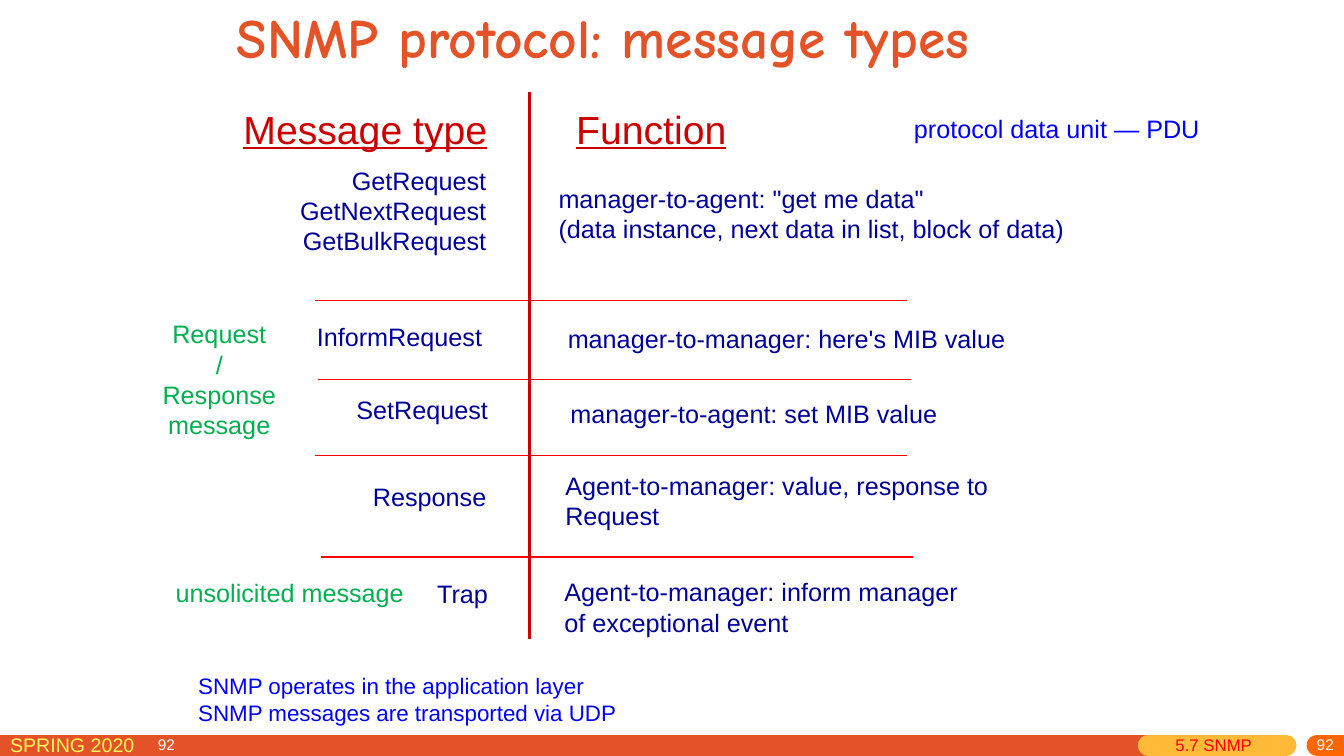
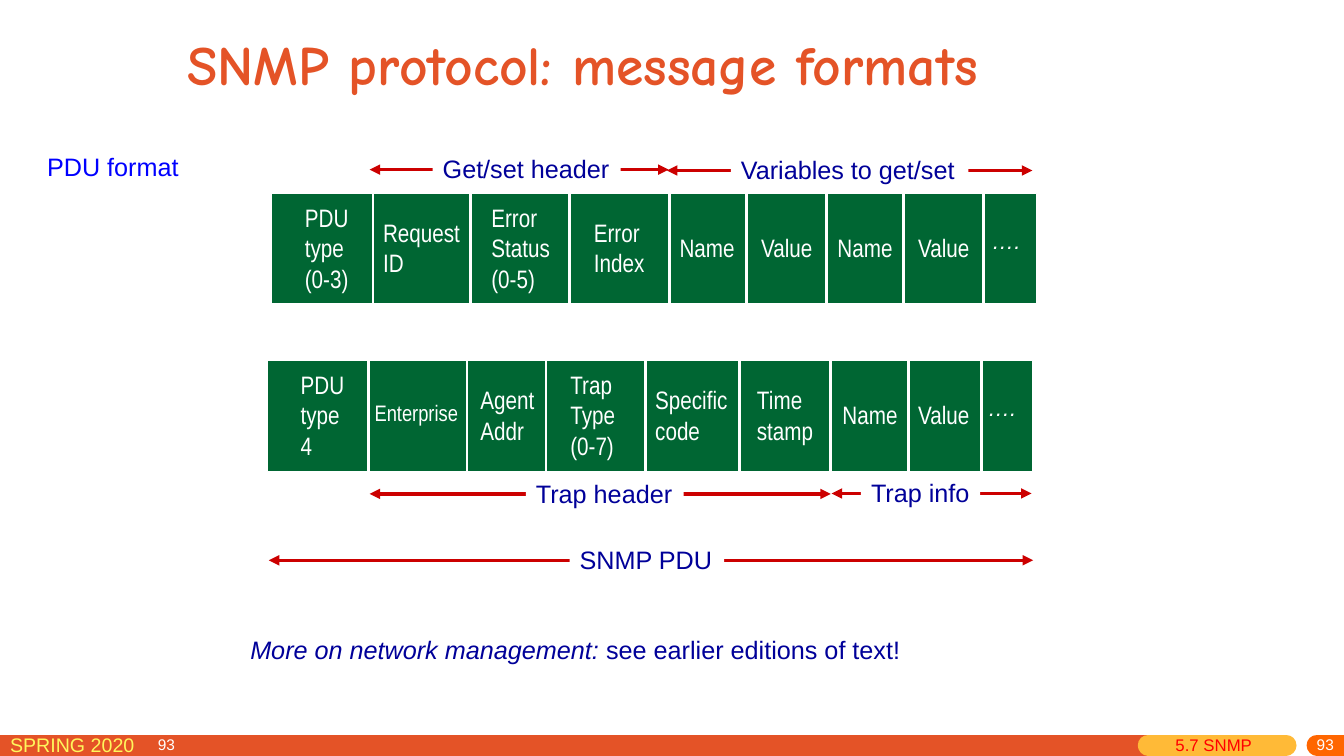
from itertools import accumulate

from lxml.etree import SubElement
from pptx import Presentation
from pptx.dml.color import RGBColor
from pptx.enum.shapes import MSO_CONNECTOR, MSO_SHAPE
from pptx.enum.text import MSO_ANCHOR, MSO_AUTO_SIZE, PP_ALIGN
from pptx.oxml.ns import qn
from pptx.util import Inches, Pt

COLUMNS, ROWS = 160, 90
POINTS_PER_ROW = 6
PACKET_HEIGHT = 13.2

WHITE = RGBColor(0xFF, 0xFF, 0xFF)
ORANGE = RGBColor(0xE4, 0x53, 0x27)
AMBER = RGBColor(0xFF, 0xBA, 0x37)
BRIGHT_ORANGE = RGBColor(0xFF, 0x66, 0x00)
YELLOW = RGBColor(0xFF, 0xF6, 0x5C)
RED = RGBColor(0xFF, 0x00, 0x00)
DARK_RED = RGBColor(0xCC, 0x00, 0x00)
NAVY = RGBColor(0x00, 0x00, 0x99)
BLUE = RGBColor(0x00, 0x00, 0xFF)
GREEN = RGBColor(0x00, 0xB0, 0x50)
DARK_GREEN = RGBColor(0x00, 0x66, 0x33)

BODY_FONT, FIELD_FONT, TITLE_FONT = "Arial", "Arial Narrow", "Comic Neue"


class Deck:
    def __init__(self):
        self.presentation = Presentation()
        self.presentation.slide_width = Inches(13.333)
        self.presentation.slide_height = Inches(7.5)
        self.slide = None

    def x(self, columns):
        return round(self.presentation.slide_width * columns / COLUMNS)

    def y(self, rows):
        return round(self.presentation.slide_height * rows / ROWS)

    def box(self, left, top, width, height):
        return self.x(left), self.y(top), self.x(width), self.y(height)

    def add_slide(self, title, number, left, top, width, height):
        layout = self.presentation.slide_layouts[5]
        self.slide = self.presentation.slides.add_slide(layout)
        shape = self.slide.shapes.title
        shape.left, shape.top, shape.width, shape.height = self.box(left, top, width, height)
        self.fill_text(shape.text_frame, [title], ORANGE, 39.6, font=TITLE_FONT,
                       anchor=MSO_ANCHOR.MIDDLE, bold=True)
        self.footer(number)

    def footer(self, number):
        for start, end, color in [(0, 136.7, ORANGE), (136.7, 153.1, AMBER),
                                  (156.8, 160, BRIGHT_ORANGE)]:
            self.line(start, 88.7, end, 88.7, color, 15, cap="rnd")
        for text, left, width, color, size, align in [
            ("SPRING 2020", 1.2, 17, YELLOW, 14, PP_ALIGN.LEFT),
            (str(number), 18.8, 10, WHITE, 11, PP_ALIGN.LEFT),
            ("5.7 SNMP", 136.3, 16.4, RED, 12, PP_ALIGN.CENTER),
            (str(number), 148.8, 10, WHITE, 11, PP_ALIGN.RIGHT),
        ]:
            self.text([text], left, 88.65 - size * 0.1, width, color, size, align)

    def style_run(self, run, color, size, font=BODY_FONT, bold=False, italic=False,
                  underline=False):
        run.font.name, run.font.size = font, Pt(size)
        run.font.color.rgb = color
        run.font.bold, run.font.italic, run.font.underline = bold, italic, underline

    def fill_text(self, frame, lines, color, size, align=PP_ALIGN.LEFT,
                  anchor=MSO_ANCHOR.TOP, **style):
        frame.text = "\n".join(lines)
        frame.word_wrap = True
        frame.auto_size = MSO_AUTO_SIZE.NONE
        frame.vertical_anchor = anchor
        frame.margin_left = frame.margin_right = self.x(0)
        frame.margin_top = frame.margin_bottom = self.y(0)
        for paragraph in frame.paragraphs:
            paragraph.alignment = align
            for run in paragraph.runs:
                self.style_run(run, color, size, **style)

    def text(self, lines, left, top, width=90, color=NAVY, size=18,
             align=PP_ALIGN.LEFT, **style):
        height = len(lines) * size * 1.2 / POINTS_PER_ROW
        shape = self.slide.shapes.add_textbox(*self.box(left, top, width, height))
        self.fill_text(shape.text_frame, lines, color, size, align, **style)
        return shape

    def right_text(self, lines, right, top, **style):
        self.text(lines, right - 35, top, 35, align=PP_ALIGN.RIGHT, **style)

    def line(self, x1, y1, x2, y2, color, weight, cap="flat", arrows=False):
        connector = self.slide.shapes.add_connector(
            MSO_CONNECTOR.STRAIGHT, self.x(x1), self.y(y1), self.x(x2), self.y(y2))
        connector.line.color.rgb = color
        connector.line.width = Pt(weight)
        outline = connector.line._get_or_add_ln()
        outline.set("cap", cap)
        if arrows:
            for end in ("a:headEnd", "a:tailEnd"):
                SubElement(outline, qn(end), type="triangle")
        SubElement(connector._element.spPr, qn("a:effectLst"))

    def rectangle(self, left, top, width, height, fill):
        shape = self.slide.shapes.add_shape(
            MSO_SHAPE.RECTANGLE, *self.box(left, top, width, height))
        shape.shadow.inherit = False
        shape.fill.solid()
        shape.fill.fore_color.rgb = fill
        shape.line.color.rgb = WHITE
        shape.line.width = Pt(0.75)
        return shape

    def packet(self, left, top, fields):
        edges = list(accumulate((width for width, _, _ in fields), initial=left))
        self.rectangle(left, top, edges[-1] - left, PACKET_HEIGHT, DARK_GREEN)
        for edge in edges[1:-1]:
            self.line(edge, top, edge, top + PACKET_HEIGHT, WHITE, 2)
        for edge, (width, indent, label) in zip(edges, fields):
            self.field(label, edge + indent, top + PACKET_HEIGHT / 2, width - indent)

    def field(self, label, left, middle, width):
        lines = label.split("\n")
        dots = label == "…."
        size = 16 if dots or label == "Enterprise" else 18
        height = len(lines) * size * 1.2 / POINTS_PER_ROW
        lift = 0.4 if size == 16 else 0.1
        shape = self.text(lines, left, middle - height / 2 - lift, width, WHITE, size,
                          anchor=MSO_ANCHOR.MIDDLE, italic=dots,
                          font=BODY_FONT if dots else FIELD_FONT)
        if dots:
            shape.text_frame.paragraphs[0].line_spacing = Pt(12)

    def span(self, label, start, end, row, label_left, label_width):
        self.line(start, row, end, row, DARK_RED, 2.5, arrows=True)
        shape = self.rectangle(label_left, row - 2.5, label_width, 4.8, WHITE)
        shape.line.fill.background()
        self.fill_text(shape.text_frame, [label], NAVY, 18, anchor=MSO_ANCHOR.MIDDLE)
        shape.text_frame.margin_left = self.x(1.2)


def message_types(deck):
    deck.add_slide("SNMP protocol: message types", 92, 28.2, 0, 105.8, 8.7)
    heading = dict(color=DARK_RED, size=28, underline=True)
    deck.right_text(["Message type"], 58, 12.5, **heading)
    deck.text(["Function"], 68.6, 12.5, 30, **heading)
    for names, right, name_top, function, left, function_top in [
        (["GetRequest", "GetNextRequest", "GetBulkRequest"], 57.9, 19.65,
         ['manager-to-agent: "get me data"',
          "(data instance, next data in list, block of data)"], 66.5, 21.8),
        (["InformRequest"], 57.4, 38.3,
         ["manager-to-manager: here's MIB value"], 67.6, 38.5),
        (["SetRequest"], 58.1, 46.9, ["manager-to-agent: set MIB value"], 67.9, 47.4),
        (["Response"], 57.9, 57.3,
         ["Agent-to-manager: value, response to", "Request"], 67.3, 56),
        (["Trap"], 58.1, 68.8,
         ["Agent-to-manager: inform manager", "of exceptional event"], 67.2, 68.65),
    ]:
        deck.right_text(names, right, name_top)
        deck.text(function, left, function_top)
    for left, row in [(37.5, 35.75), (37.9, 45.15), (37.5, 54.25), (38.2, 66.3)]:
        deck.line(left, row, left + 70.5, row, RED, 1)
    deck.line(63, 11, 63, 76.1, DARK_RED, 2)
    deck.text(["protocol data unit — PDU"], 108.8, 13.5, 40, BLUE)
    deck.text(["unsolicited message"], 20.9, 68.7, 30, GREEN)
    deck.text(["Request", "/", "Response", "message"], 18.1, 37.95, 16, GREEN,
              align=PP_ALIGN.CENTER)
    deck.text(["SNMP operates in the application layer",
               "SNMP messages are transported via UDP"], 23.6, 80, color=BLUE, size=16)


def message_formats(deck):
    deck.add_slide("SNMP protocol: message formats", 93, 22.3, 2, 109.8, 11)
    deck.packet(32.3, 23, [
        (12.1, 4, "PDU\ntype\n(0-3)"), (11.6, 1.2, "Request\nID"),
        (11.8, 2.5, "Error\nStatus\n(0-5)"), (11.9, 2.9, "Error\nIndex"),
        (9.2, 1.2, "Name"), (9.5, 1.7, "Value"), (9.2, 1.3, "Name"),
        (9.5, 1.7, "Value"), (6.3, 1, "…."),
    ])
    deck.packet(31.8, 42.9, [
        (12.1, 4, "PDU\ntype\n4"), (11.7, 0.7, "Enterprise"),
        (9.4, 1.6, "Agent\nAddr"), (11.8, 2.9, "Trap\nType\n(0-7)"),
        (11.2, 1.2, "Specific\ncode"), (10.9, 2.1, "Time\nstamp"),
        (9.3, 1.4, "Name"), (8.6, 1.1, "Value"), (6.1, 0.8, "…."),
    ])
    for span in [
        ("Get/set header", 44, 79.6, 20.2, 51.5, 22.4),
        ("Variables to get/set", 79.4, 122.9, 20.3, 87, 28.3),
        ("Trap header", 44, 98.9, 58.8, 62.6, 18.8),
        ("Trap info", 99, 122.8, 58.75, 102.5, 14.2),
        ("SNMP PDU", 32, 123, 66.7, 67.8, 18.4),
    ]:
        deck.span(*span)
    reference = deck.text(["More on network management: "], 29.8, 75.5, italic=True)
    run = reference.text_frame.paragraphs[0].add_run()
    run.text = "see earlier editions of text!"
    deck.style_run(run, NAVY, 18)
    deck.text(["PDU format"], 5.6, 18, 20, BLUE)


def main():
    deck = Deck()
    message_types(deck)
    message_formats(deck)
    deck.presentation.save("out.pptx")


if __name__ == "__main__":
    main()
